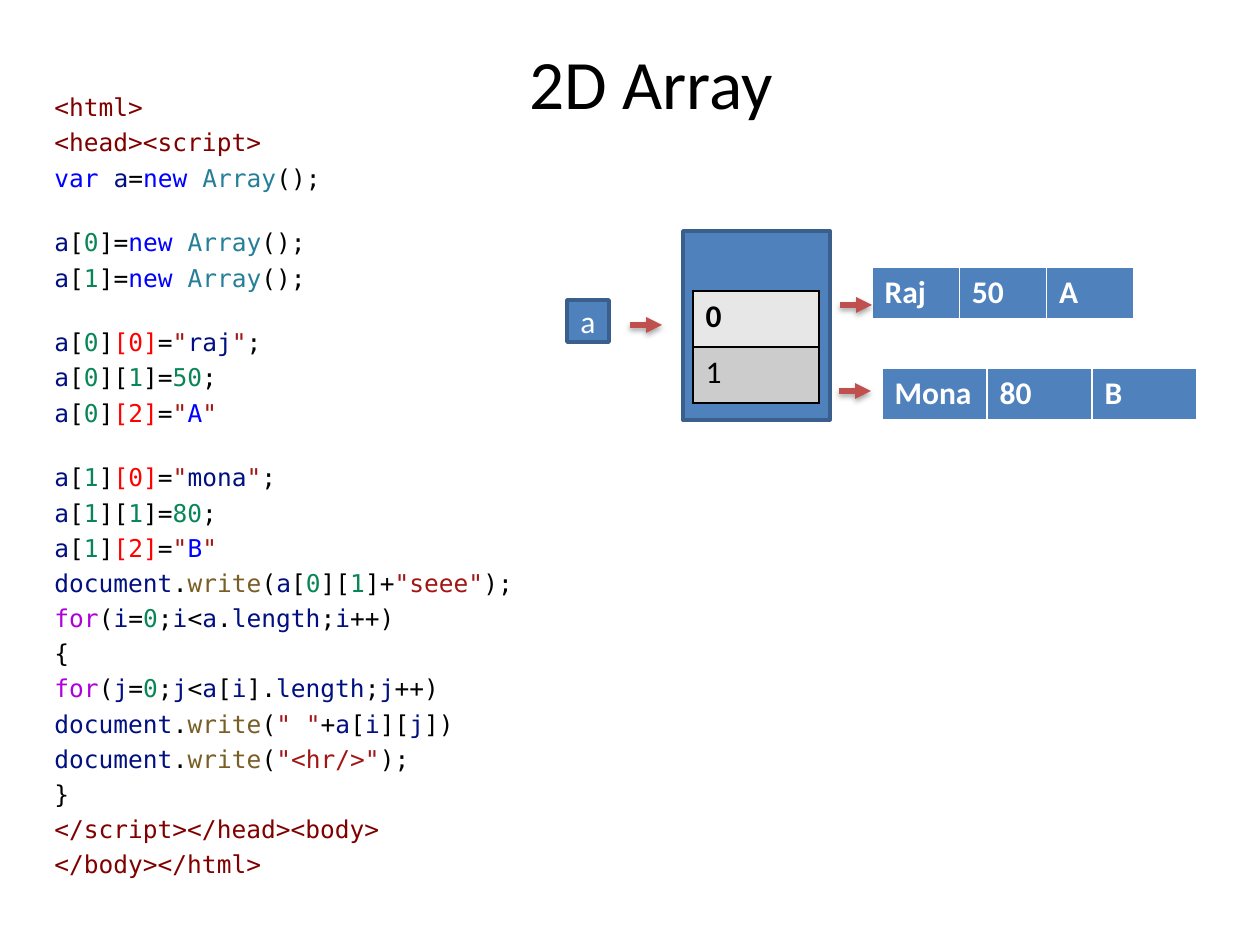
from lxml.etree import SubElement
from pptx import Presentation
from pptx.dml.color import RGBColor
from pptx.enum.shapes import MSO_CONNECTOR, MSO_SHAPE
from pptx.enum.text import MSO_ANCHOR, PP_ALIGN
from pptx.oxml import parse_xml
from pptx.oxml.ns import nsdecls, qn
from pptx.util import Pt

PX = 914400 / 126

BLACK = RGBColor(0x00, 0x00, 0x00)
WHITE = RGBColor(0xFF, 0xFF, 0xFF)
BLUE = RGBColor(0x4F, 0x81, 0xBD)
DARK_BLUE = RGBColor(0x3A, 0x5F, 0x8C)
ARROW_RED = RGBColor(0xC0, 0x50, 0x4D)
LIGHT_GRAY = RGBColor(0xE7, 0xE7, 0xE7)
GRAY = RGBColor(0xCC, 0xCC, 0xCC)

# The first letter of each code token selects its syntax colour.
SYNTAX = {
    "h": RGBColor(0x80, 0x00, 0x00),  # HTML tag
    "k": RGBColor(0x00, 0x00, 0xFF),  # keyword
    "v": RGBColor(0x00, 0x10, 0x80),  # variable
    "p": BLACK,                       # punctuation
    "t": RGBColor(0x26, 0x7F, 0x99),  # type
    "n": RGBColor(0x09, 0x86, 0x58),  # number
    "r": RGBColor(0xFF, 0x00, 0x00),  # highlighted index
    "s": RGBColor(0xA3, 0x15, 0x15),  # string
    "f": RGBColor(0x79, 0x5E, 0x26),  # function
    "c": RGBColor(0xAF, 0x00, 0xDB),  # control flow
}
CODE_BLOCKS = [
    ["h<html>",
     "h<head><script>",
     "kvar |va|p=|knew |tArray|p();"],
    ["va|p[|n0|p]=|knew |tArray|p();",
     "va|p[|n1|p]=|knew |tArray|p();"],
    ['va|p[|n0|p]|r[0]|p=|s"|vraj|s"|p;',
     "va|p[|n0|p][|n1|p]=|n50|p;",
     'va|p[|n0|p]|r[2]|p=|s"|kA|s"'],
    ['va|p[|n1|p]|r[0]|p=|s"|vmona|s"|p;',
     "va|p[|n1|p][|n1|p]=|n80|p;",
     'va|p[|n1|p]|r[2]|p=|s"|kB|s"',
     'vdocument|p.|fwrite|p(|va|p[|n0|p][|n1|p]+|s"seee"|p);',
     "cfor|p(|vi|p=|n0|p;|vi|p<|va|p.|vlength|p;|vi|p++)",
     "p{",
     "cfor|p(|vj|p=|n0|p;|vj|p<|va|p[|vi|p].|vlength|p;|vj|p++)",
     'vdocument|p.|fwrite|p(|s" "|p+|va|p[|vi|p][|vj|p])',
     'vdocument|p.|fwrite|p(|s"<hr/>"|p);',
     "p}",
     "h</script></head><body>",
     "h</body></html>"],
]


def add_text(paragraph, text, size=18, color=WHITE, font="Calibri", bold=False):
    run = paragraph.add_run()
    run.text = text
    run.font.size = Pt(size)
    run.font.color.rgb = color
    run.font.name = font
    run.font.bold = bold


def set_borders(cell, color, **widths):
    """Draw the cell's L, R, T and B borders with the given point widths."""
    properties = cell._tc.get_or_add_tcPr()
    for side, width in widths.items():
        properties.append(parse_xml(
            f'<a:ln{side} {nsdecls("a")} w="{Pt(width)}"><a:solidFill>'
            f'<a:srgbClr val="{color}"/></a:solidFill></a:ln{side}>'))


presentation = Presentation()
presentation.slide_width = round(1260 * PX)
presentation.slide_height = round(945 * PX)
slide = presentation.slides.add_slide(presentation.slide_layouts[6])
shapes = slide.shapes

# Title
title = shapes.add_textbox(*(round(n * PX) for n in (105, 38, 1092, 88))).text_frame
title.word_wrap = True
title.vertical_anchor = MSO_ANCHOR.MIDDLE
title.paragraphs[0].alignment = PP_ALIGN.CENTER
add_text(title.paragraphs[0], "2D Array", size=39.6, color=BLACK)

# Code listing
code = shapes.add_textbox(*(round(n * PX) for n in (42, 86, 598, 798))).text_frame
code.word_wrap = True
paragraph = code.paragraphs[0]
for block_number, block in enumerate(CODE_BLOCKS):
    for line_number, line in enumerate(block):
        if block_number or line_number:
            paragraph = code.add_paragraph()
            paragraph.space_before = Pt(3.3 if line_number else 20.2)
        for token in line.split("|"):
            add_text(paragraph, token[1:], size=14, color=SYNTAX[token[0]],
                     font="DejaVu Sans Mono")

# Variable box and the outer array behind its index table
for box, label in [((567, 300, 42, 42), "a"), ((683, 231, 147, 189), "")]:
    shape = shapes.add_shape(MSO_SHAPE.RECTANGLE, *(round(n * PX) for n in box))
    shape.shadow.inherit = False
    shape.fill.solid()
    shape.fill.fore_color.rgb = BLUE
    shape.line.color.rgb = DARK_BLUE
    shape.line.width = Pt(2)
    if label:
        shape.text_frame.vertical_anchor = MSO_ANCHOR.MIDDLE
        shape.text_frame.paragraphs[0].alignment = PP_ALIGN.CENTER
        add_text(shape.text_frame.paragraphs[0], label)

# Index table and the two inner arrays: box, rows, row fills, text, border, bottom width
TABLES = [
    ((693, 291, 126, 112), [["0"], ["1"]], [LIGHT_GRAY, GRAY], BLACK, BLACK, 1),
    ((872, 267, 262, 53), [["Raj", "50", "A"]], [BLUE], WHITE, WHITE, 3),
    ((882, 368, 315, 53), [["Mona", "80", "B"]], [BLUE], WHITE, WHITE, 3),
]
for box, rows, fills, text_color, border, bottom in TABLES:
    table = shapes.add_table(len(rows), len(rows[0]),
                             *(round(n * PX) for n in box)).table
    for row_number, values in enumerate(rows):
        for column_number, value in enumerate(values):
            cell = table.cell(row_number, column_number)
            set_borders(cell, border, L=1, R=1, T=1, B=bottom)
            cell.fill.solid()
            cell.fill.fore_color.rgb = fills[row_number]
            add_text(cell.text_frame.paragraphs[0], value, color=text_color,
                     bold=row_number == 0)

# Arrows
for x, y in [(630, 325), (840, 305), (839, 391)]:
    arrow = shapes.add_connector(MSO_CONNECTOR.STRAIGHT,
                                 *(round(n * PX) for n in (x, y, x + 32, y)))
    arrow.line.color.rgb = ARROW_RED
    arrow.line.width = Pt(3)
    properties = arrow.element.spPr
    SubElement(properties.find(qn("a:ln")), qn("a:tailEnd"), type="triangle")
    properties.append(parse_xml(
        f'<a:effectLst {nsdecls("a")}><a:outerShdw blurRad="{Pt(3.1)}" '
        f'dist="{Pt(1.8)}" dir="5400000" rotWithShape="0"><a:srgbClr val="000000">'
        '<a:alpha val="35000"/></a:srgbClr></a:outerShdw></a:effectLst>'))

presentation.save("out.pptx")
